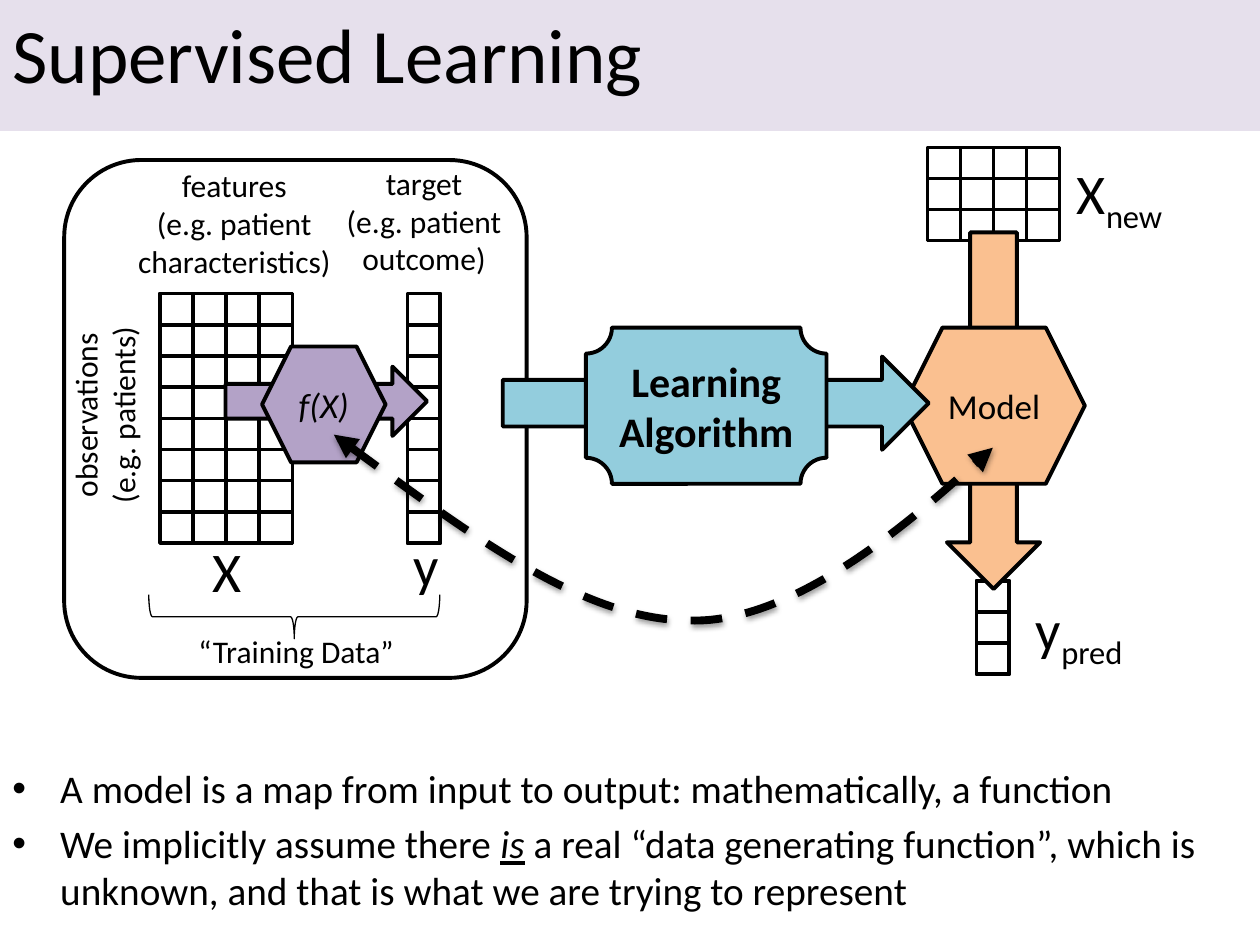
from dataclasses import dataclass

from lxml import etree
from pptx import Presentation, util as u
from pptx.dml.color import RGBColor
from pptx.enum import dml, shapes, text
from pptx.oxml import ns

COLUMNS, ROWS = 100, 75
UNIT = u.Inches(0.1)
FONT = "Calibri"
COLORS = {"ink": "000000", "paper": "FFFFFF", "title": "E6E0EC",
          "model": "FAC090", "learning": "93CDDD", "function": "B3A2C7"}
KIND = shapes.MSO_SHAPE


@dataclass
class Box:
    left: float
    top: float
    width: float
    height: float

    def inner(self, left, top, width, height):
        return Box(self.left + left, self.top + top, width, height)

    def share(self, across, down):
        return (int((self.left + across * self.width) * UNIT),
                int((self.top + down * self.height) * UNIT))

    def frame(self):
        return [int(n * UNIT) for n in (self.left, self.top, self.width, self.height)]


def assign(target, values):
    for name, value in values.items():
        setattr(target, name, value)


def color(name):
    return RGBColor.from_string(COLORS[name])


def child(parent, tag, **values):
    return etree.SubElement(parent, ns.qn(tag), values)


def paint(shape, fill=None, line=2.25):
    shape.shadow.inherit = False
    if fill:
        shape.fill.solid()
        shape.fill.fore_color.rgb = color(fill)
    else:
        shape.fill.background()
    if line:
        shape.line.color.rgb = color("ink")
        shape.line.width = u.Pt(line)
    else:
        shape.line.fill.background()


def write(shape, paragraphs, size, align="CENTER", anchor="TOP", wrap=True, bullet=False, **style):
    frame = shape.text_frame
    assign(frame, {"word_wrap": wrap, "vertical_anchor": getattr(text.MSO_ANCHOR, anchor)})
    for index, pieces in enumerate(paragraphs):
        para = frame.paragraphs[0] if index == 0 else frame.add_paragraph()
        para.alignment = getattr(text.PP_ALIGN, align)
        if bullet:
            props = para._p.get_or_add_pPr()
            props.set("marL", str(u.Inches(0.38)))
            props.set("indent", str(u.Inches(-0.38)))
            child(props, "a:buFont", typeface="Arial")
            child(props, "a:buChar", char="•")
            if index:
                para.space_before = u.Pt(0.2 * size)
        for piece in pieces:
            words, extra = piece if isinstance(piece, tuple) else (piece, {})
            span = para.add_run()
            span.text = words
            span.font.color.rgb = color("ink")
            assign(span.font, {"name": FONT, "size": u.Pt(size), **style,
                               **{k: v for k, v in extra.items() if k != "baseline"}})
            if "baseline" in extra:
                span._r.get_or_add_rPr().set("baseline", extra["baseline"])


def label(page, box, paragraphs, size, rotation=0, **style):
    shape = page.shapes.add_textbox(*box.frame())
    shape.rotation = rotation
    write(shape, paragraphs, size, **style)


def block(page, kind, box, fill=None, line=2.25, rotation=0):
    shape = page.shapes.add_shape(kind, *box.frame())
    shape.rotation = rotation
    paint(shape, fill, line)
    return shape


def matrix(page, box, columns, rows):
    group = page.shapes.add_group_shape()
    wide, high = box.width / columns, box.height / rows
    for column in range(columns):
        block(group, KIND.RECTANGLE, box.inner(column * wide, 0, wide, box.height), "paper", 2)
    for row in range(rows):
        block(group, KIND.RECTANGLE, box.inner(0, row * high, box.width, high), None, 2)


def prediction(page, box):
    matrix(page, box.inner(1.9, 0, 10.5, 7.4), 4, 3)
    matrix(page, box.inner(5.8, 34.4, 2.6, 7.4), 1, 3)
    for name, below, place in (("X", "new", (12.4, 0.4, 9.5, 6.4)),
                               ("y", "pred", (9.1, 35, 9.7, 6.4))):
        label(page, box.inner(*place), [[name, (below, {"baseline": "-25000"})]], 32, wrap=False)
    block(page, KIND.RIGHT_ARROW, box.inner(-7, 17.2, 28.3, 7.4), "model", rotation=90)
    model = block(page, KIND.HEXAGON, box.inner(0, 14.3, 14.4, 12.4), "model")
    write(model, [["Model"]], 20, anchor="MIDDLE")


def training(page, box):
    matrix(page, box.inner(7.6, 10.6, 10.5, 19.8), 4, 8)
    matrix(page, box.inner(27.25, 10.6, 2.6, 19.8), 1, 8)
    label(page, box.inner(3.7, 0, 19.6, 10.1),
          [["features"], ["(e.g. patient characteristics)"]], 18)
    label(page, box.inner(20.8, -0.2, 15.5, 10.1),
          [["target"], ["(e.g. patient outcome)"]], 18)
    label(page, box.inner(-4.9, 16.7, 16.2, 7.1),
          [["observations"], ["(e.g. patients)"]], 18, rotation=270, wrap=False)
    label(page, box.inner(10.8, 29.4, 4.3, 6.4), [["X"]], 32, wrap=False)
    label(page, box.inner(26.7, 28.9, 4.1, 6.4), [["y"]], 32, wrap=False)
    block(page, KIND.RIGHT_BRACE, box.inner(16.5, 24.7, 3.5, 23.1), line=0.75, rotation=90)
    label(page, box.inner(9.5, 37, 17.8, 4), [["“Training Data”"]], 18, wrap=False)
    block(page, KIND.ROUNDED_RECTANGLE, box)
    block(page, KIND.RIGHT_ARROW, box.inner(12.8, 16.4, 16, 5.5), "function")
    function = block(page, KIND.HEXAGON, box.inner(15.7, 14.8, 9.8, 9.2), "function")
    write(function, [["f(X)"]], 20, anchor="MIDDLE", italic=True)


def learning(page, box):
    block(page, KIND.RIGHT_ARROW, box.inner(0, 2.3, 33.8, 7.4), "learning")
    algorithm = block(page, KIND.PLAQUE, box.inner(6.6, 0, 19.1, 12.4), "learning")
    write(algorithm, [["Learning Algorithm"]], 24, anchor="MIDDLE", bold=True)


def correspondence(page, box):
    start, *bends = [box.share(*point) for point in (
        (0, 0), (0.19, 0.49), (0.38, 0.99), (0.54, 0.99), (0.71, 1.01), (1, 0.07), (1, 0.07))]
    builder = page.shapes.build_freeform(*start)
    builder.add_line_segments(bends, close=False)
    curve = builder.convert_to_shape()
    paint(curve, line=4.5)
    curve.line.dash_style = dml.MSO_LINE.DASH
    outline = curve._element.spPr.find(ns.qn("a:ln"))
    for end in ("a:headEnd", "a:tailEnd"):
        child(outline, end, type="triangle")
    steps = list(curve._element.iter(ns.qn("a:lnTo")))
    track = steps[0].getparent()
    for first in range(0, len(steps), 3):
        bend = child(track, "a:cubicBezTo")
        for step in steps[first:first + 3]:
            bend.append(step[0])
            track.remove(step)
    effects = curve._element.spPr.find(ns.qn("a:effectLst"))
    shadow = child(effects, "a:outerShdw", blurRad=str(u.Pt(3.1)), dist=str(u.Pt(1.6)),
                   dir="5400000", rotWithShape="0")
    shade = child(shadow, "a:srgbClr", val=COLORS["ink"])
    child(shade, "a:alpha", val="38000")


def heading(page, box):
    banner = block(page, KIND.RECTANGLE, box, "title", None)
    write(banner, [["Supervised Learning"]], 44, align="LEFT")


def remarks(page, box):
    label(page, box, [
        ["A model is a map from input to output: mathematically, a function"],
        ["We implicitly assume there ", ("is", {"italic": True, "underline": True}),
         " a real “data generating function”, which is unknown, "
         "and that is what we are trying to represent"],
    ], 22.4, align="LEFT", bullet=True)


def main():
    deck = Presentation()
    assign(deck, {"slide_width": COLUMNS * UNIT, "slide_height": ROWS * UNIT})
    page = deck.slides.add_slide(deck.slide_layouts[6])
    remarks(page, Box(0, 60.2, 100, 11.3))
    prediction(page, Box(71.7, 11.7, 21.9, 41.8))
    training(page, Box(5.1, 12.7, 36.7, 41.1))
    learning(page, Box(39.9, 26, 33.8, 12.4))
    correspondence(page, Box(26.5, 34.5, 52.3, 14.9))
    heading(page, Box(0, 0, 100, 10.4))
    deck.save("out.pptx")


if __name__ == "__main__":
    main()
